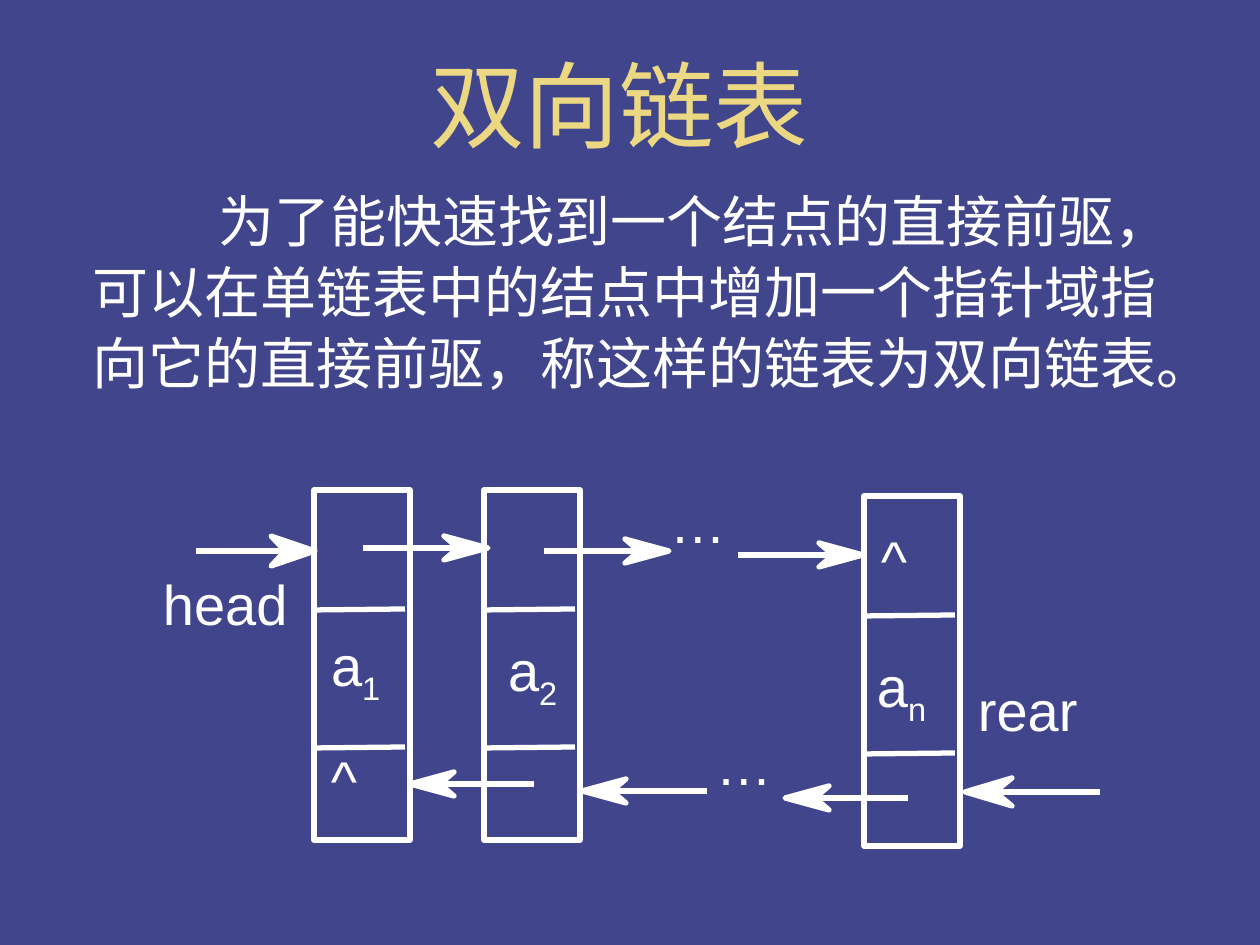
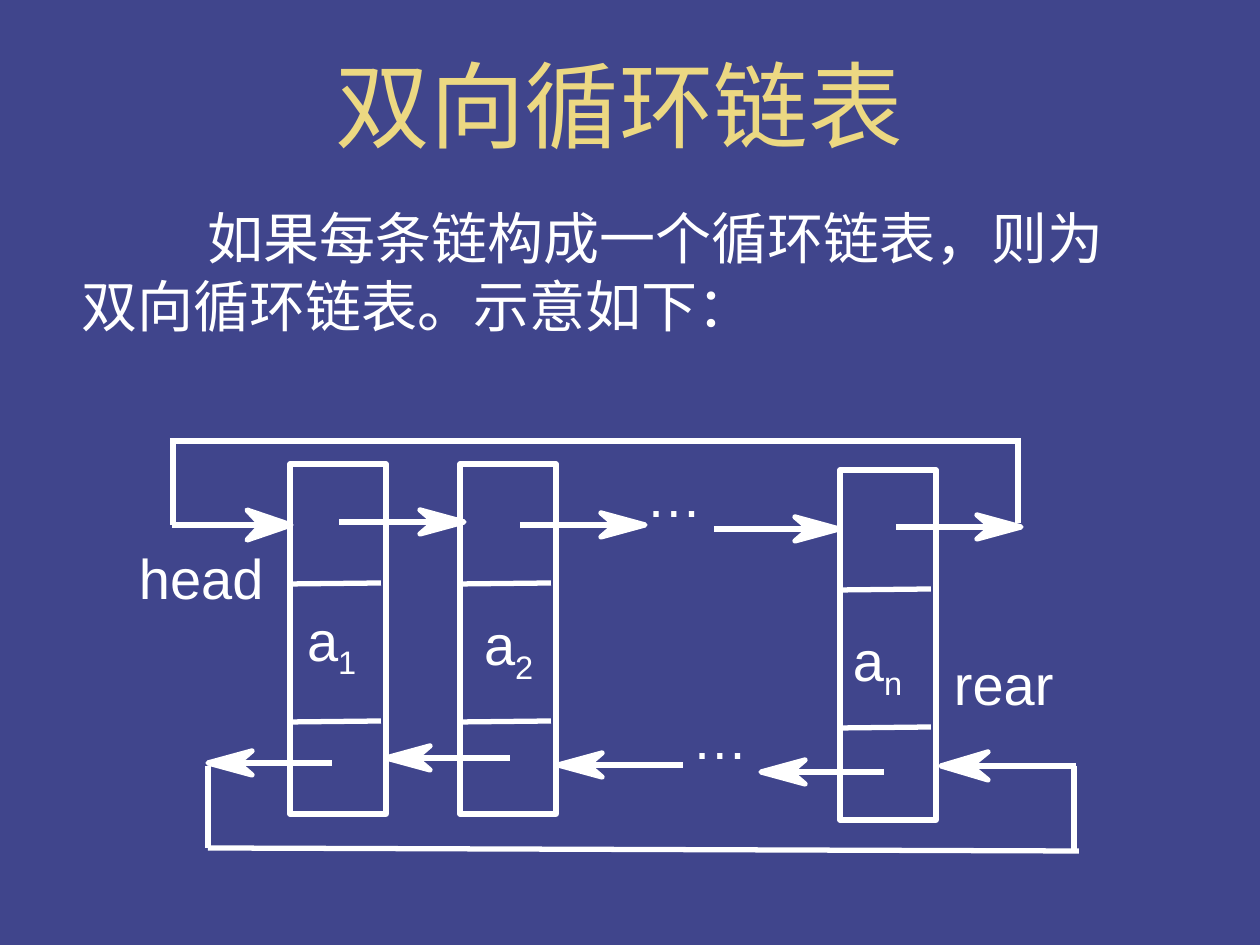
from dataclasses import dataclass

from lxml import etree
from pptx import Presentation
from pptx.dml.color import RGBColor
from pptx.enum.shapes import MSO_CONNECTOR, MSO_SHAPE
from pptx.enum.text import MSO_ANCHOR, MSO_AUTO_SIZE, PP_ALIGN
from pptx.oxml.ns import qn
from pptx.util import Emu, Pt

RECT = MSO_SHAPE.RECTANGLE
STRAIGHT = MSO_CONNECTOR.STRAIGHT
TOP, BOTTOM = MSO_ANCHOR.TOP, MSO_ANCHOR.BOTTOM
LEFT, CENTER = PP_ALIGN.LEFT, PP_ALIGN.CENTER
FIXED = MSO_AUTO_SIZE.NONE

PX = 914400 / 126
COLORS = {"back": "40458C", "title": "ECD882", "ink": "FFFFFF"}
LATIN, HAN = "Arial", "Noto Sans CJK SC"
STROKE = Pt(3)
NODE_W, NODE_H = 96, 350
NOTCH = 30


@dataclass
class Arrow:
    tail: int
    tip: int
    y: int
    long: int = 44
    half: int = 12


@dataclass
class Label:
    text: str
    x: int
    y: int
    sub: str = ""


@dataclass
class Line:
    x1: int
    y1: int
    x2: int
    y2: int


@dataclass
class Body:
    text: str
    box: tuple[int, int, int, int]
    pitch: int


@dataclass
class Page:
    title: str
    body: Body
    shift: tuple[int, int]
    arrows: list[Arrow]
    labels: list[Label]
    loop: list[Line]


NODES = [(314, 490), (484, 490), (864, 496)]
ARROWS = [
    Arrow(196, 315, 551, half=15),
    Arrow(363, 488, 548),
    Arrow(544, 669, 551),
    Arrow(738, 863, 555),
    Arrow(908, 785, 798),
    Arrow(707, 582, 791),
    Arrow(534, 410, 784),
    Arrow(1100, 965, 792, long=47, half=14),
]
LABELS = [
    Label("head", 163, 570),
    Label("rear", 978, 676),
    Label("a", 331, 631, "1"),
    Label("a", 508, 635, "2"),
    Label("a", 877, 652, "n"),
    Label("…", 670, 488),
    Label("…", 716, 729),
]
PAGES = [
    Page(
        "双向链表",
        Body("为了能快速找到一个结点的直接前驱，可以在单链表中的结点中增加一个"
             "指针域指向它的直接前驱，称这样的链表为双向链表。",
             (92, 183, 1092, 290), 71),
        (0, 0),
        [],
        [Label("^", 331, 746), Label("^", 881, 526)],
        [],
    ),
    Page(
        "双向循环链表",
        Body("如果每条链构成一个循环链表，则为双向循环链表。示意如下：",
             (81, 203, 1071, 136), 68),
        (-24, -26),
        [Arrow(920, 1045, 553), Arrow(356, 232, 789)],
        [],
        [
            Line(208, 766, 208, 848),
            Line(208, 848, 1079, 851),
            Line(1074, 766, 1074, 850),
            Line(170, 441, 1021, 441),
            Line(1018, 441, 1018, 523),
            Line(173, 443, 173, 525),
        ],
    ),
]


def emu(px: float) -> Emu:
    return Emu(round(px * PX))


def color(key: str) -> RGBColor:
    return RGBColor.from_string(COLORS[key])


def place(shape, box: tuple[int, int, int, int]) -> None:
    shape.left, shape.top, shape.width, shape.height = map(emu, box)


def style(run, size: int, key: str, font: str) -> None:
    run.font.size = Pt(size)
    run.font.color.rgb = color(key)
    run.font.name = font
    etree.SubElement(run._r.get_or_add_rPr(), qn("a:ea"), typeface=HAN)


def bare(frame, anchor) -> None:
    """Remove insets and fitting from a text frame."""
    frame.auto_size = FIXED
    frame.vertical_anchor = anchor
    frame.margin_left = frame.margin_right = 0
    frame.margin_top = frame.margin_bottom = 0


def write(holder, text: str, box, anchor, align, pitch: int, indent: int = 0):
    """Fill a placeholder with one paragraph and return its run."""
    place(holder, box)
    frame = holder.text_frame
    frame.text = text
    frame.word_wrap = True
    bare(frame, anchor)
    para = frame.paragraphs[0]
    props = para._p.get_or_add_pPr()
    props.set("marL", "0")
    props.set("indent", str(emu(indent)))
    etree.SubElement(props, qn("a:buNone"))
    para.alignment = align
    para.line_spacing = emu(pitch)
    para.space_before = Pt(0)
    return para.runs[0]


def draw_line(group, line: Line) -> None:
    link = group.add_connector(STRAIGHT, emu(line.x1), emu(line.y1),
                               emu(line.x2), emu(line.y2))
    link.line.color.rgb = color("ink")
    link.line.width = STROKE
    etree.SubElement(link._element.spPr, qn("a:effectLst"))


def outline(shape) -> None:
    shape.shadow.inherit = False
    shape.line.color.rgb = color("ink")
    shape.line.width = STROKE


def draw_node(group, x: int, y: int) -> None:
    """Draw a box cut into three cells."""
    box = group.add_shape(RECT, emu(x), emu(y), emu(NODE_W), emu(NODE_H))
    box.fill.background()
    outline(box)
    for drop in (120, 258):
        draw_line(group, Line(x + 91, y + drop - 1, x - 1, y + drop))


def draw_arrow(group, arrow: Arrow, dx: int, dy: int) -> None:
    side = 1 if arrow.tip > arrow.tail else -1
    tip, y = arrow.tip + dx, arrow.y + dy
    notch, barb = tip - side * NOTCH, tip - side * arrow.long
    draw_line(group, Line(arrow.tail + dx, y, notch, y))
    path = group.build_freeform(barb, y - arrow.half, scale=PX)
    path.add_line_segments([(tip, y), (barb, y + arrow.half), (notch, y)])
    head = path.convert_to_shape()
    head.fill.solid()
    head.fill.fore_color.rgb = color("ink")
    outline(head)


def draw_label(group, label: Label, dx: int, dy: int) -> None:
    width = 28 * len(label.text + label.sub)
    box = group.add_textbox(emu(label.x + dx), emu(label.y + dy),
                            emu(width), emu(67))
    frame = box.text_frame
    frame.text = label.text
    frame.word_wrap = False
    bare(frame, TOP)
    para = frame.paragraphs[0]
    if label.sub:
        run = para.add_run()
        run.text = label.sub
        run._r.get_or_add_rPr().set("baseline", "-25000")
    for run in para.runs:
        style(run, 32, "ink", LATIN)


def build(deck, page: Page) -> None:
    slide = deck.slides.add_slide(deck.slide_layouts[1])
    title, body = slide.placeholders
    run = write(title, page.title, (84, 34, 1071, 126), BOTTOM, CENTER, 113)
    style(run, 54, "title", HAN)
    run = write(body, page.body.text, page.body.box, TOP, LEFT,
                page.body.pitch, 126)
    style(run, 32, "ink", LATIN)

    group = slide.shapes.add_group_shape().shapes
    dx, dy = page.shift
    for x, y in NODES:
        draw_node(group, x + dx, y + dy)
    for arrow in ARROWS + page.arrows:
        draw_arrow(group, arrow, dx, dy)
    for label in LABELS + page.labels:
        draw_label(group, label, dx, dy)
    for line in page.loop:
        draw_line(group, line)


def main() -> None:
    deck = Presentation()
    deck.slide_width, deck.slide_height = emu(1260), emu(945)
    fill = deck.slide_master.background.fill
    fill.solid()
    fill.fore_color.rgb = color("back")
    for page in PAGES:
        build(deck, page)
    deck.save("out.pptx")


if __name__ == "__main__":
    main()
